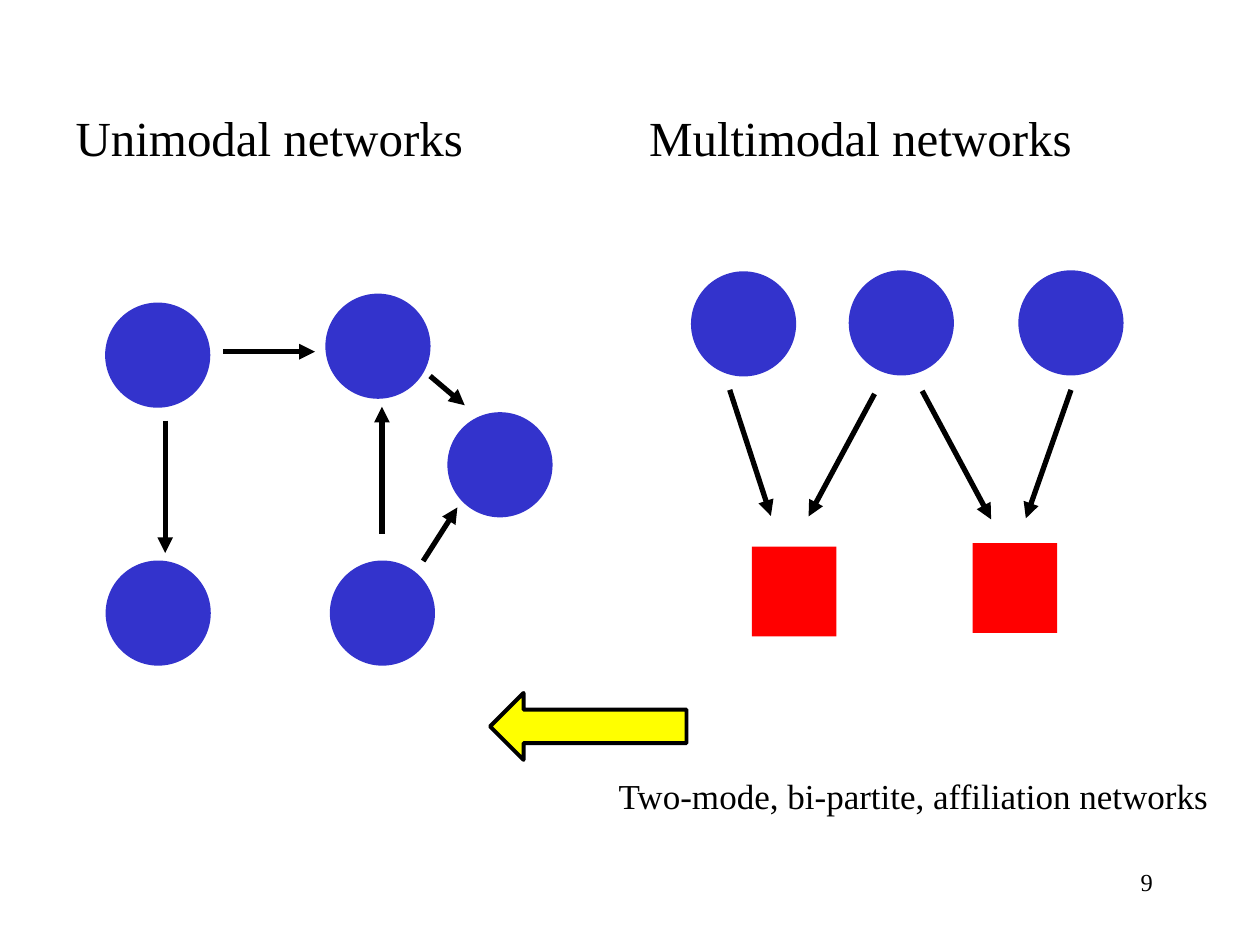
from dataclasses import dataclass

from lxml import etree
from pptx import Presentation
from pptx.dml.color import RGBColor
from pptx.enum import shapes, text
from pptx.oxml import ns
from pptx.util import Cm, Pt


@dataclass(frozen=True)
class Theme:
    font: str = "Times New Roman"
    ink: RGBColor = RGBColor(0x00, 0x00, 0x00)
    person: RGBColor = RGBColor(0x33, 0x33, 0xCC)
    group: RGBColor = RGBColor(0xFF, 0x00, 0x00)
    pointer: RGBColor = RGBColor(0xFF, 0xFF, 0x00)
    heading: int = 28
    caption: int = 20
    number: int = 14
    tie: float = 3
    outline: float = 2.25


class NetworkSlide:
    """Holds the theme and the current slide; all lengths are in centimetres."""

    def __init__(self, s, theme):
        self.s = s
        self.theme = theme

    def set_text(self, tf, words, size, align=text.PP_ALIGN.LEFT):
        p = tf.paragraphs[0]
        p.text = words
        p.alignment = align
        p.space_before = Pt(0)
        p.font.name = self.theme.font
        p.font.size = Pt(size)
        p.font.bold = False
        p.font.color.rgb = self.theme.ink

    def heading(self, idx, words, x, y, w, h):
        sp = self.s.placeholders[idx]
        sp.left, sp.top, sp.width, sp.height = map(Cm, (x, y, w, h))
        sp.text_frame.vertical_anchor = text.MSO_ANCHOR.BOTTOM
        self.set_text(sp.text_frame, words, self.theme.heading)

    def label(self, words, x, y, w, h, size, align=text.PP_ALIGN.LEFT, wrap=True):
        tf = self.s.shapes.add_textbox(*map(Cm, (x, y, w, h))).text_frame
        tf.word_wrap = wrap
        self.set_text(tf, words, size, align)

    def shape(self, kind, x, y, w, h, fill, outlined=False):
        sp = self.s.shapes.add_shape(kind, *map(Cm, (x, y, w, h)))
        sp.shadow.inherit = False
        sp.fill.solid()
        sp.fill.fore_color.rgb = fill
        if outlined:
            sp.line.color.rgb = self.theme.ink
            sp.line.width = Pt(self.theme.outline)
        else:
            sp.line.fill.background()

    def person(self, x, y):
        self.shape(shapes.MSO_SHAPE.OVAL, x, y, 2.12, 2.12, self.theme.person)

    def group(self, x, y):
        self.shape(shapes.MSO_SHAPE.RECTANGLE, x, y, 1.7, 1.81, self.theme.group)

    def tie(self, x1, y1, x2, y2):
        cx = self.s.shapes.add_connector(
            shapes.MSO_CONNECTOR.STRAIGHT, *map(Cm, (x1, y1, x2, y2)))
        cx.line.color.rgb = self.theme.ink
        cx.line.width = Pt(self.theme.tie)
        ln = cx._element.spPr.find(ns.qn("a:ln"))
        etree.SubElement(ln, ns.qn("a:tailEnd"), type="triangle")
        etree.SubElement(cx._element.spPr, ns.qn("a:effectLst"))

    def remove_empty_placeholders(self):
        for sp in list(self.s.placeholders):
            if not sp.text_frame.text:
                sp._element.getparent().remove(sp._element)


PEOPLE = [
    (2.12, 6.1), (6.56, 5.92), (2.13, 11.3), (9.02, 8.31), (6.65, 11.3),  # unimodal
    (13.93, 5.47), (17.11, 5.45), (20.53, 5.45),  # multimodal
]
GROUPS = [(15.16, 11.02), (19.61, 10.95)]
TIES = [
    (3.33, 8.48, 3.33, 11.15), (4.5, 7.09, 6.35, 7.09), (8.67, 7.58, 9.37, 8.17),
    (8.53, 11.31, 9.22, 10.23), (7.7, 10.76, 7.7, 8.2),  # unimodal
    (14.71, 7.86, 15.54, 10.4), (17.63, 7.94, 16.3, 10.41),
    (18.59, 7.88, 19.98, 10.47), (21.59, 7.86, 20.68, 10.45),  # multimodal
]


def main():
    prs = Presentation()
    prs.slide_width, prs.slide_height = Cm(25.4), Cm(19.05)
    theme = Theme()
    comparison = prs.slide_layouts.get_by_name("Comparison")
    page = NetworkSlide(prs.slides.add_slide(comparison), theme)

    page.heading(1, "Unimodal networks", 1.27, 1.7, 11.23, 1.78)
    page.heading(3, "Multimodal networks", 12.83, 1.7, 11.23, 1.78)
    page.remove_empty_placeholders()

    for spot in PEOPLE:
        page.person(*spot)
    for spot in GROUPS:
        page.group(*spot)
    for ends in TIES:
        page.tie(*ends)

    page.shape(shapes.MSO_SHAPE.LEFT_ARROW, 9.88, 13.97, 3.96, 1.35,
               theme.pointer, outlined=True)
    page.label("Two-mode, bi-partite, affiliation networks",
               12.22, 15.49, 12.45, 1.12, theme.caption, wrap=False)
    page.label("9", 18.21, 17.35, 5.28, 1.27, theme.number, text.PP_ALIGN.RIGHT)
    prs.save("out.pptx")


if __name__ == "__main__":
    main()
